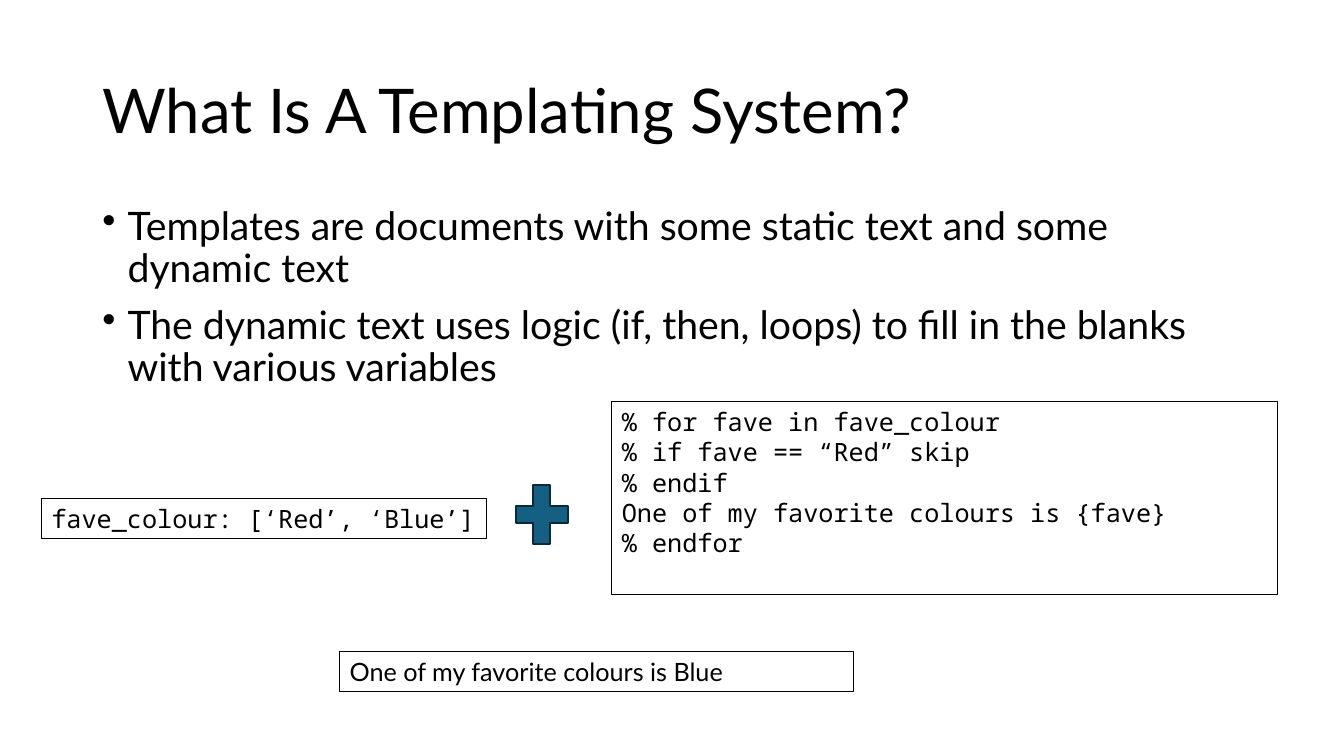
import dataclasses

import lxml.etree
import pptx
import pptx.dml.color
import pptx.enum.shapes
import pptx.enum.text
import pptx.oxml.ns
import pptx.util


@dataclasses.dataclass(frozen=True)
class Theme:
    """Colours, fonts and sizes of the slide."""
    ink: str = "000000"
    plus_fill: str = "156082"
    plus_line: str = "092A39"
    sans: str = "Lato"
    mono: str = "Noto Sans Mono"
    title_size: int = 44
    body_size: int = 28
    sample_size: int = 18
    frame_width: float = 0.75
    plus_width: float = 1.5


THEME = Theme()
WIDTH, HEIGHT = pptx.util.Inches(13.33), pptx.util.Inches(7.5)
COLUMN, ROW = WIDTH / 100, HEIGHT / 100


def place(left, top, width, height):
    """Turn columns and rows of a 100 by 100 grid into slide lengths."""
    return int(left * COLUMN), int(top * ROW), int(width * COLUMN), int(height * ROW)


def colour(code):
    """Return the colour for a hex code."""
    return pptx.dml.color.RGBColor.from_string(code)


def outline(part, code, width):
    """Give a part its line colour and width."""
    part.line.color.rgb = colour(code)
    part.line.width = pptx.util.Pt(width)


def write(part, lines, font, size, spacing=1.0, gap=0, bullet=False):
    """Write one paragraph per line into a part."""
    frame = part.text_frame
    frame.word_wrap = True
    for index, line in enumerate(lines):
        paragraph = frame.add_paragraph() if index else frame.paragraphs[0]
        paragraph.alignment = pptx.enum.text.PP_ALIGN.LEFT
        paragraph.line_spacing = spacing
        paragraph.space_before = pptx.util.Pt(gap if index else 0)
        if bullet:
            properties = paragraph._p.get_or_add_pPr()
            indent = pptx.util.Inches(0.25)
            properties.set("marL", str(indent))
            properties.set("indent", str(-indent))
            mark = lxml.etree.SubElement(properties, pptx.oxml.ns.qn("a:buChar"))
            mark.set("char", "•")
        run = paragraph.add_run()
        run.text = line
        run.font.name = font
        run.font.size = pptx.util.Pt(size)
        run.font.color.rgb = colour(THEME.ink)
    return frame


def add_title(slide, box, title):
    """Place the slide title."""
    heading = slide.shapes.add_textbox(*place(*box))
    frame = write(heading, [title], THEME.sans, THEME.title_size, spacing=0.9)
    frame.vertical_anchor = pptx.enum.text.MSO_ANCHOR.MIDDLE


def add_points(slide, box, points):
    """Place the bulleted points."""
    body = slide.shapes.add_textbox(*place(*box))
    write(body, points, THEME.sans, THEME.body_size, spacing=0.9, gap=10, bullet=True)


def add_sample(slide, box, lines, font):
    """Place a framed sample of code or output."""
    sample = slide.shapes.add_textbox(*place(*box))
    outline(sample, THEME.ink, THEME.frame_width)
    write(sample, lines, font, THEME.sample_size)


def add_plus(slide, box):
    """Place the plus sign that joins variables and template."""
    plus = slide.shapes.add_shape(pptx.enum.shapes.MSO_SHAPE.MATH_PLUS, *place(*box))
    plus.shadow.inherit = False
    plus.fill.solid()
    plus.fill.fore_color.rgb = colour(THEME.plus_fill)
    outline(plus, THEME.plus_line, THEME.plus_width)


def add_example(slide, box):
    """Place the variables, the template and the result within a box."""
    left, top, width, height = box
    line_height = 5.33
    right = left + width
    bottom = top + height
    template_width = 49.5
    add_sample(slide, (right - template_width, top, template_width, 25.6), [
        "% for fave in fave_colour",
        "% if fave == “Red” skip",
        "% endif",
        "One of my favorite colours is {fave}",
        "% endfor",
    ], THEME.mono)
    add_sample(slide, (left, top + 12.8, 33.1, line_height),
               ["fave_colour: [‘Red’, ‘Blue’]"], THEME.mono)
    add_plus(slide, (left + 34.6, top + 9.7, 5.25, 10.53))
    add_sample(slide, (left + 22.2, bottom - line_height, 38.26, line_height),
               ["One of my favorite colours is Blue"], THEME.sans)


def main():
    """Build the slide and save it."""
    deck = pptx.Presentation()
    deck.slide_width, deck.slide_height = WIDTH, HEIGHT
    slide = deck.slides.add_slide(deck.slide_layouts[6])
    margin, text_width = 6.88, 86.25
    add_title(slide, (margin, 5.33, text_width, 19.33), "What Is A Templating System?")
    add_points(slide, (margin, 26.67, text_width, 26.5), [
        "Templates are documents with some static text and some dynamic text",
        "The dynamic text uses logic (if, then, loops) to fill in the blanks "
        "with various variables",
    ])
    add_example(slide, (3.08, 53.1, 91.95, 38.4))
    deck.save("out.pptx")


if __name__ == "__main__":
    main()
